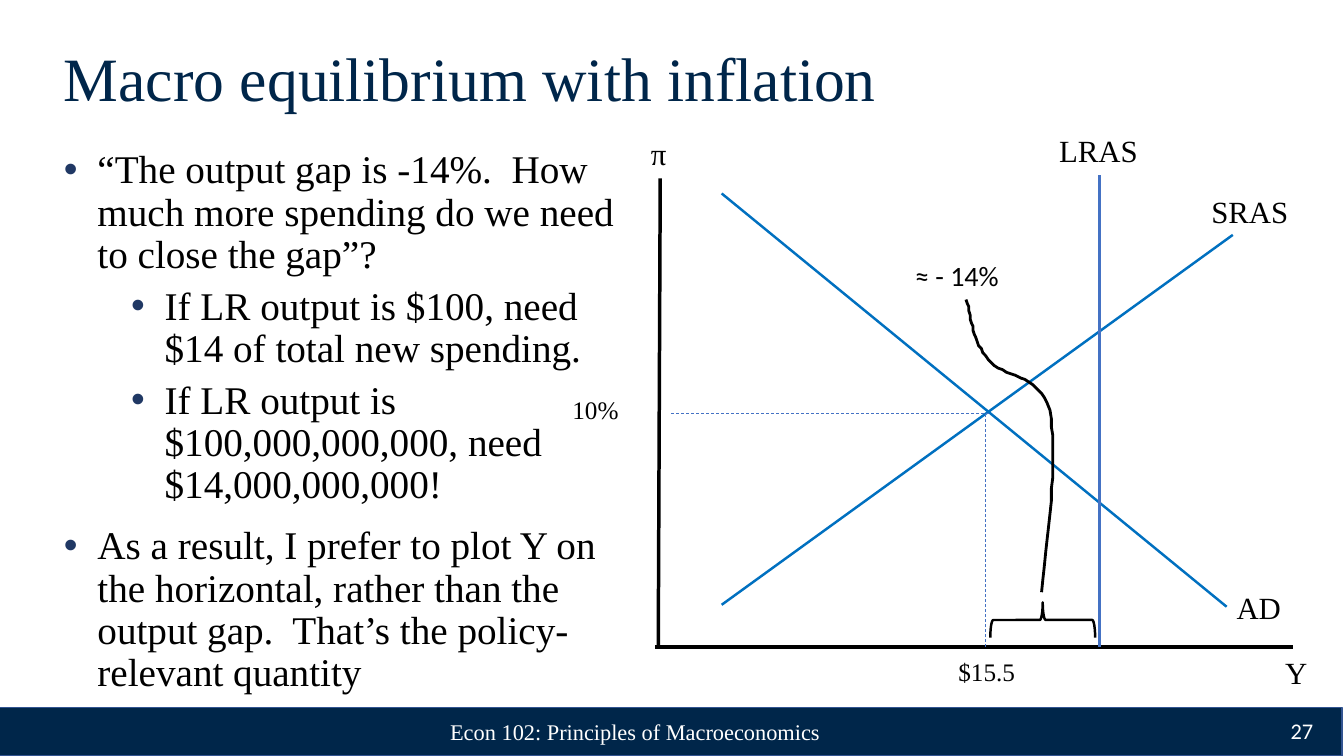
import dataclasses

import lxml.etree
import pptx
import pptx.dml.color
import pptx.enum.dml
import pptx.enum.shapes
import pptx.enum.text
import pptx.oxml
import pptx.oxml.ns
import pptx.util

Pt = pptx.util.Pt
Align = pptx.enum.text.PP_ALIGN
Anchor = pptx.enum.text.MSO_ANCHOR


@dataclasses.dataclass(frozen=True)
class Theme:
    serif: str = "Times New Roman"
    sans: str = "Calibri"
    navy: str = "00264A"
    bar_edge: str = "325491"
    bullet: str = "203864"
    black: str = "000000"
    white: str = "FFFFFF"
    curve: str = "0070C0"
    guide: str = "4472C4"
    title_size: float = 44
    body_size: float = 28
    axis_size: float = 22
    note_size: float = 20
    value_size: float = 18
    footer_size: float = 16


class SlideBuilder:
    def __init__(self, slide, theme):
        self.slide = slide
        self.theme = theme

    def color(self, value):
        return pptx.dml.color.RGBColor.from_string(value)

    def format_font(self, paragraph, size, color, family=None):
        paragraph.font.name = family or self.theme.serif
        paragraph.font.size = Pt(size)
        paragraph.font.color.rgb = self.color(color)

    def format_line(self, shape, color, width, dashed=False):
        shape.line.color.rgb = self.color(color)
        shape.line.width = Pt(width)
        if dashed:
            shape.line.dash_style = pptx.enum.dml.MSO_LINE.DASH

    def format_frame(self, frame, anchor):
        frame.word_wrap = True
        frame.auto_size = pptx.enum.text.MSO_AUTO_SIZE.NONE
        frame.vertical_anchor = anchor
        frame.margin_left = frame.margin_right = Pt(9.6)
        frame.margin_top = frame.margin_bottom = Pt(4.8)

    def bar(self, left, top, width, height):
        shape = self.slide.shapes.add_shape(
            pptx.enum.shapes.MSO_SHAPE.RECTANGLE, Pt(left), Pt(top), Pt(width), Pt(height))
        shape.shadow.inherit = False
        shape.fill.solid()
        shape.fill.fore_color.rgb = self.color(self.theme.navy)
        self.format_line(shape, self.theme.bar_edge, 1)

    def title(self, text, left, top, width, height):
        shape = self.slide.shapes.title
        shape.left, shape.top, shape.width, shape.height = map(Pt, (left, top, width, height))
        shape.text_frame.text = text
        self.format_frame(shape.text_frame, Anchor.MIDDLE)
        paragraph = shape.text_frame.paragraphs[0]
        paragraph.alignment = Align.LEFT
        paragraph.line_spacing = 0.9
        self.format_font(paragraph, self.theme.title_size, self.theme.navy)

    def bullets(self, items, left, top, width, height):
        frame = self.slide.shapes.add_textbox(Pt(left), Pt(top), Pt(width), Pt(height)).text_frame
        self.format_frame(frame, Anchor.TOP)
        for index, (level, text) in enumerate(items):
            paragraph = frame.add_paragraph() if index else frame.paragraphs[0]
            paragraph.text = text
            paragraph.level = level
            paragraph.line_spacing = 0.9
            paragraph.space_before = Pt((6.7 if level else 13.3) if index else 0)
            properties = paragraph._p.get_or_add_pPr()
            properties.set("marL", str(Pt(24 + 48 * level)))
            properties.set("indent", str(Pt(-24)))
            bullet_color = lxml.etree.SubElement(properties, pptx.oxml.ns.qn("a:buClr"))
            lxml.etree.SubElement(
                bullet_color, pptx.oxml.ns.qn("a:srgbClr"), val=self.theme.bullet)
            lxml.etree.SubElement(properties, pptx.oxml.ns.qn("a:buFont"), typeface="Arial")
            lxml.etree.SubElement(properties, pptx.oxml.ns.qn("a:buChar"), char="•")
            self.format_font(paragraph, self.theme.body_size, self.theme.black)

    def footer(self, text, left, top, width, height, alignment, family):
        frame = self.slide.shapes.add_textbox(Pt(left), Pt(top), Pt(width), Pt(height)).text_frame
        self.format_frame(frame, Anchor.MIDDLE)
        frame.text = text
        frame.paragraphs[0].alignment = alignment
        self.format_font(
            frame.paragraphs[0], self.theme.footer_size, self.theme.white, family)

    def label(self, text, left, top, width, height, size, wrap=False, family=None):
        frame = self.slide.shapes.add_textbox(Pt(left), Pt(top), Pt(width), Pt(height)).text_frame
        frame.word_wrap = wrap
        frame.auto_size = pptx.enum.text.MSO_AUTO_SIZE.SHAPE_TO_FIT_TEXT
        frame.text = text
        self.format_font(frame.paragraphs[0], size, self.theme.black, family)

    def line(self, start, end, color, width, dashed=False):
        connector = self.slide.shapes.add_connector(
            pptx.enum.shapes.MSO_CONNECTOR.STRAIGHT, *map(Pt, (*start, *end)))
        self.format_line(connector, color, width, dashed)
        lxml.etree.SubElement(connector._element.spPr, pptx.oxml.ns.qn("a:effectLst"))

    def brace(self, left, top, width, height):
        shape = self.slide.shapes.add_shape(
            pptx.enum.shapes.MSO_SHAPE.LEFT_BRACE, Pt(left), Pt(top), Pt(width), Pt(height))
        shape.rotation = 90
        shape.shadow.inherit = False
        shape.fill.background()
        self.format_line(shape, self.theme.black, 1.75)

    def curve(self, start, segments, steps=16):
        points = []
        corner = start
        for first, second, end in segments:
            for step in range(1, steps + 1):
                t = step / steps
                weights = ((1 - t) ** 3, 3 * t * (1 - t) ** 2, 3 * t * t * (1 - t), t ** 3)
                controls = (corner, first, second, end)
                points.append(tuple(
                    sum(weight * control[axis] for weight, control in zip(weights, controls))
                    for axis in (0, 1)))
            corner = end
        builder = self.slide.shapes.build_freeform(*start, scale=Pt(1))
        builder.add_line_segments(points, close=False)
        shape = builder.convert_to_shape()
        shape.shadow.inherit = False
        shape.fill.background()
        self.format_line(shape, self.theme.black, 2)


def main():
    presentation = pptx.Presentation()
    presentation.slide_width, presentation.slide_height = Pt(960), Pt(540)
    theme = Theme()
    builder = SlideBuilder(
        presentation.slides.add_slide(presentation.slide_layouts[5]), theme)

    builder.bar(-1.4, 505.4, 960, 34.6)
    builder.title("Macro equilibrium with inflation", 36, 28.8, 888, 58.3)
    builder.bullets([
        (0, "“The output gap is -14%.  How much more spending do we need to close the gap”?"),
        (1, "If LR output is $100, need $14 of total new spending."),
        (1, "If LR output is $100,000,000,000, need $14,000,000,000!"),
        (0, "As a result, I prefer to plot Y on the horizontal, rather than the output gap.  "
            "That’s the policy-relevant quantity"),
    ], 36, 102.2, 420, 406)
    builder.footer("Econ 102: Principles of Macroeconomics",
                   291.6, 508.3, 324, 28.8, Align.CENTER, theme.serif)
    builder.footer("27", 880.6, 507.6, 67, 28.8, Align.RIGHT, theme.sans)

    axis_y, gap_x, potential_x, price_y = 462.2, 704.2, 785.5, 295.2
    builder.line((468, axis_y), (923.8, axis_y), theme.black, 2.5)
    builder.line((471.6, 127.4), (470.2, axis_y), theme.black, 2.5)
    builder.line((515.5, 432), (880.6, 167.8), theme.curve, 1.75)
    builder.line((515.5, 138.2), (876.2, 433.4), theme.curve, 1.75)
    builder.line((479.5, price_y), (707.8, price_y), theme.guide, 0.5, dashed=True)
    builder.line((gap_x, axis_y), (gap_x, price_y), theme.guide, 0.5, dashed=True)
    builder.line((potential_x, axis_y), (potential_x, 125.3), theme.guide, 1.75)

    for text, left, top, width in (
        ("π", 457.9, 92.9, 25.9),
        ("Y", 910.8, 463.7, 30.2),
        ("SRAS", 858.2, 133.9, 69.8),
        ("AD", 876.2, 416.9, 46.8),
        ("LRAS", 749.5, 90.7, 71.3),
    ):
        builder.label(text, left, top, width, 33.8, theme.axis_size)
    builder.label("10%", 401.8, 277.9, 64.8, 28.8, theme.value_size, wrap=True)
    builder.label("$15.5", 677.5, 465.1, 79.2, 28.8, theme.value_size, wrap=True)
    builder.label("≈ - 14%", 646.6, 181.4, 74.9, 31.7, theme.note_size, family=theme.sans)

    builder.brace(732.2, 405.4, 25.2, 74.9)
    builder.curve((743.8, 422.6), [
        ((749.5, 371.5), (756, 321.1), (749.5, 293)),
        ((743, 265.7), (715, 270), (705.6, 257)),
        ((695.5, 243.4), (693.4, 229), (690.5, 213.8)),
    ])
    presentation.save("out.pptx")


if __name__ == "__main__":
    main()
